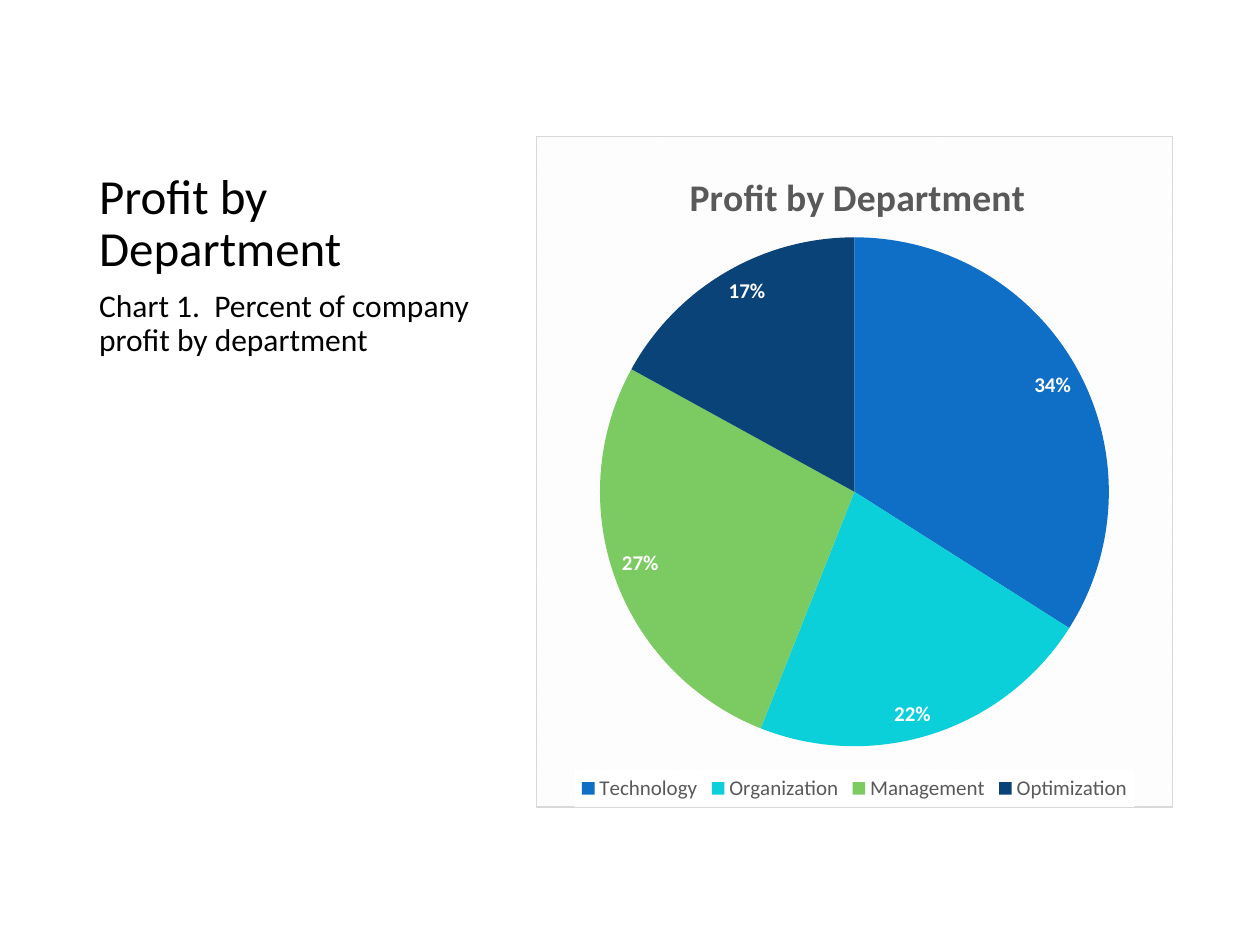
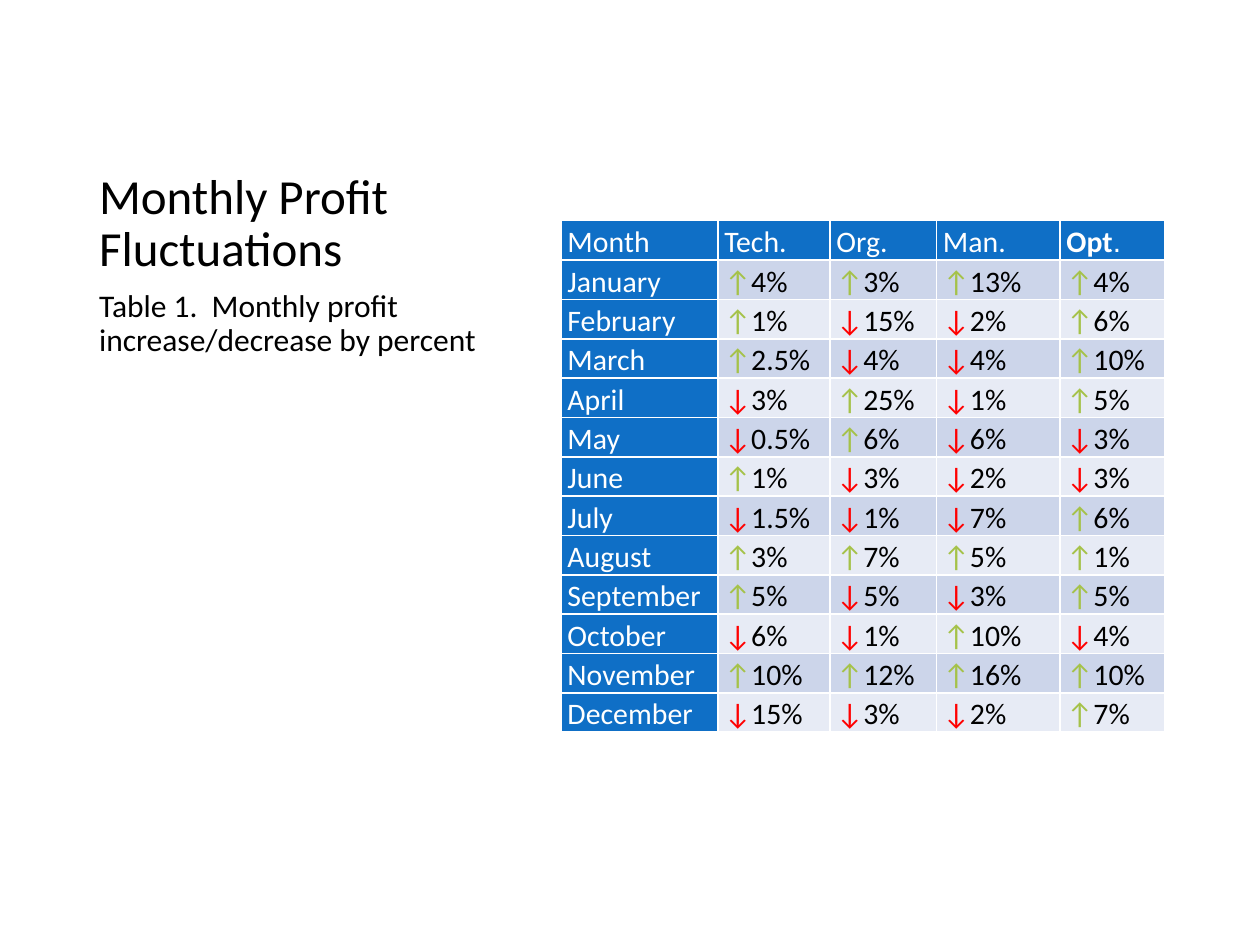
from lxml.etree import SubElement as Sub
from pptx import Presentation
from pptx.chart.data import CategoryChartData as ChartData
from pptx.dml.color import RGBColor as RGB
from pptx.enum.chart import XL_CHART_TYPE as Kind
from pptx.enum.chart import XL_LABEL_POSITION as Spot, XL_LEGEND_POSITION as Side
from pptx.enum.text import MSO_ANCHOR as Anchor
from pptx.oxml import parse_xml
from pptx.oxml.ns import nsdecls, qn
from pptx.util import Cm, Pt

HUES = {
    "ink": "000000", "white": "FFFFFF", "grey": "595959", "rim": "D9D9D9", "mist": "F2F2F2",
    "blue": "0F6FC6", "cyan": "0BD0D9", "green": "7CCA62", "navy": "094377",
    "odd": "CCD5EA", "even": "E7EBF5", "↑": "A5C249", "↓": "FF0000",
}
FACE = "Calibri"
LEFT = 1.75
SHARES = {
    "Technology": (34, "blue"), "Organization": (22, "cyan"),
    "Management": (27, "green"), "Optimization": (17, "navy"),
}
HEADS = ["Month", "Tech.", "Org.", "Man.", "Opt."]
MONTHS = {
    "January": "↑4% ↑3% ↑13% ↑4%",
    "February": "↑1% ↓15% ↓2% ↑6%",
    "March": "↑2.5% ↓4% ↓4% ↑10%",
    "April": "↓3% ↑25% ↓1% ↑5%",
    "May": "↓0.5% ↑6% ↓6% ↓3%",
    "June": "↑1% ↓3% ↓2% ↓3%",
    "July": "↓1.5% ↓1% ↓7% ↑6%",
    "August": "↑3% ↑7% ↑5% ↑1%",
    "September": "↑5% ↓5% ↓3% ↑5%",
    "October": "↓6% ↓1% ↑10% ↓4%",
    "November": "↑10% ↑12% ↑16% ↑10%",
    "December": "↓15% ↓3% ↓2% ↑7%",
}
WIDTHS = [3.16, 2.26, 2.15, 2.49, 2.11]


def style(font, size, hue, bold=False, face=FACE):
    """Set the face, size, colour and weight of a font."""
    font.name, font.size, font.bold = face, Pt(size), bold
    font.color.rgb = RGB.from_string(HUES[hue])


def add_run(para, text, size, hue, **look):
    """Add one styled run to a paragraph."""
    run = para.add_run()
    run.text = text
    style(run.font, size, hue, **look)


def add_text(slide, box, text, size, anchor=Anchor.TOP, before=0):
    """Add a wrapped text box with one paragraph."""
    frame = slide.shapes.add_textbox(*map(Cm, box)).text_frame
    frame.word_wrap, frame.vertical_anchor = True, anchor
    para = frame.paragraphs[0]
    para.line_spacing, para.space_before = 0.9, Pt(before)
    add_run(para, text, size, "ink")


def add_page(deck, title, note, width):
    """Add a blank slide with its title and caption on the left."""
    slide = deck.slides.add_slide(deck.slide_layouts[6])
    add_text(slide, (LEFT, 1.27, 8.2, 4.45), title, 28, Anchor.BOTTOM)
    add_text(slide, (LEFT, 5.72, width, 10.59), note, 18, before=7.5)
    return slide


def place(chart, name, index, **spots):
    """Give a chart part a fixed place, in shares of the chart."""
    part = chart.element.xpath(f".//c:{name}")[0]
    for old in part.findall(qn("c:layout")):
        part.remove(old)
    layout = parse_xml(f"<c:layout {nsdecls('c')}><c:manualLayout/></c:layout>")
    if name == "plotArea":
        Sub(layout[0], qn("c:layoutTarget"), val="inner")
    for key in "xy":
        Sub(layout[0], qn(f"c:{key}Mode"), val="edge")
    for key, share in spots.items():
        Sub(layout[0], qn(f"c:{key}"), val=str(share))
    part.insert(index, layout)


def paint(chart):
    """Fill the chart area with faint stripes and a thin border."""
    area = parse_xml(
        f'<c:spPr {nsdecls("c", "a")}><a:pattFill prst="dkDnDiag">'
        f'<a:fgClr><a:srgbClr val="{HUES["mist"]}"/></a:fgClr>'
        f'<a:bgClr><a:srgbClr val="{HUES["white"]}"/></a:bgClr></a:pattFill>'
        f'<a:ln w="{Pt(0.75)}"><a:solidFill><a:srgbClr val="{HUES["rim"]}"/>'
        '</a:solidFill></a:ln></c:spPr>')
    chart.element.find(qn("c:chart")).addnext(area)
    key = parse_xml(
        f'<c:spPr {nsdecls("c", "a")}><a:solidFill>'
        f'<a:srgbClr val="{HUES["white"]}"/></a:solidFill></c:spPr>')
    chart.element.xpath(".//c:legend/c:overlay")[0].addnext(key)


def add_pie(slide, title):
    """Add the pie of profit shares."""
    data = ChartData()
    data.categories = list(SHARES)
    data.add_series("Series 1", [share for share, _ in SHARES.values()])
    box = map(Cm, (10.8, 2.74, 12.85, 13.54))
    chart = slide.shapes.add_chart(Kind.PIE, *box, data).chart
    style(chart.font, 10, "ink")
    add_run(chart.chart_title.text_frame.paragraphs[0], title, 21.6, "grey", bold=True)
    chart.chart_title.include_in_layout = False
    chart.has_legend = True
    chart.legend.position, chart.legend.include_in_layout = Side.BOTTOM, False
    style(chart.legend.font, 12, "grey")
    plot = chart.plots[0]
    plot.vary_by_categories = plot.has_data_labels = True
    labels = plot.data_labels
    labels.show_percentage, labels.show_value = True, False
    labels.number_format, labels.number_format_is_linked = "0%", False
    labels.position = Spot.INSIDE_END
    style(labels.font, 12, "white", bold=True)
    for index, (_, hue) in enumerate(SHARES.values()):
        fill = plot.series[0].points[index].format.fill
        fill.solid()
        fill.fore_color.rgb = RGB.from_string(HUES[hue])
    place(chart, "title", 1, x=0.23, y=0.04)
    place(chart, "plotArea", 0, x=0.1, y=0.15, w=0.8, h=0.76)
    place(chart, "legend", 1, x=0.06, y=0.945, w=0.88, h=0.055)
    paint(chart)


def set_cell(cell, runs, hue):
    """Fill and frame a cell and write its runs."""
    cell.margin_left = cell.margin_right = Cm(0.13)
    cell.margin_top = cell.margin_bottom = 0
    para = cell.text_frame.paragraphs[0]
    para.line_spacing = 1.1
    for text, ink, look in runs:
        add_run(para, text, 17, ink, **look)
    props = cell.fill and cell._tc.get_or_add_tcPr()
    for side in "LRTB":
        line = Sub(props, qn(f"a:ln{side}"), w=str(Pt(1)))
        Sub(Sub(line, qn("a:solidFill")), qn("a:srgbClr"), val=HUES["white"])
    cell.fill.solid()
    cell.fill.fore_color.rgb = RGB.from_string(HUES[hue])


def add_grid(slide):
    """Add the table of monthly changes."""
    count = len(MONTHS) + 1
    box = map(Cm, (11.31, 4.45, sum(WIDTHS), 0.79 * count))
    table = slide.shapes.add_table(count, len(HEADS), *box).table
    table.first_row = table.horz_banding = False
    for col, width in zip(table.columns, WIDTHS):
        col.width = Cm(width)
    for col, head in enumerate(HEADS):
        runs = [(head, "white", {})]
        if head == "Opt.":
            runs = [("Opt", "white", {"bold": True}), (".", "white", {"face": "Arial"})]
        set_cell(table.cell(0, col), runs, "blue")
    for row, (month, moves) in enumerate(MONTHS.items(), 1):
        set_cell(table.cell(row, 0), [(month, "white", {})], "blue")
        for col, move in enumerate(moves.split(), 1):
            runs = [(move[0], move[0], {}), (move[1:], "ink", {})]
            set_cell(table.cell(row, col), runs, "odd" if row % 2 else "even")


def main():
    """Build both slides and save the deck."""
    deck = Presentation()
    deck.slide_width, deck.slide_height = Cm(25.4), Cm(19.05)
    title = "Profit by Department"
    add_pie(add_page(deck, title, "Chart 1.  Percent of company profit by department", 8.2), title)
    add_grid(add_page(deck, "Monthly Profit Fluctuations",
                      "Table 1.  Monthly profit increase/decrease by percent", 8.86))
    deck.save("out.pptx")


if __name__ == "__main__":
    main()
